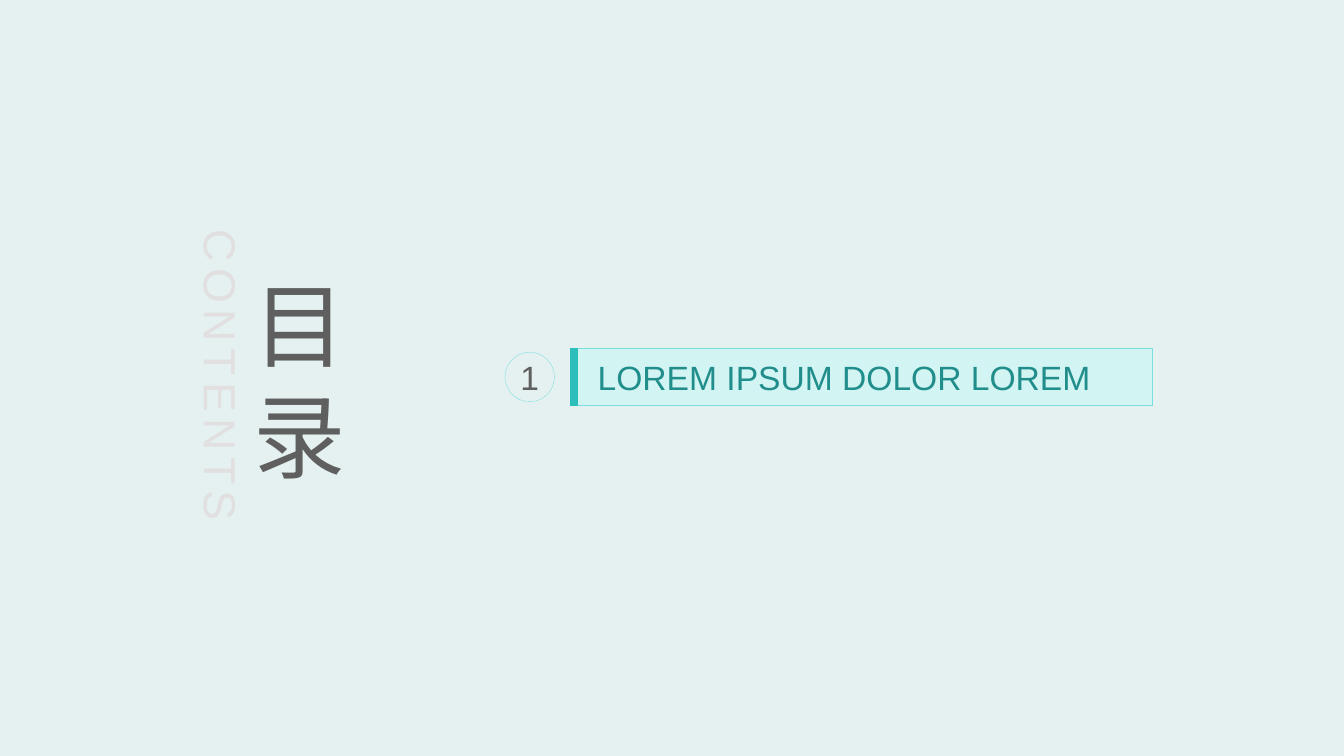
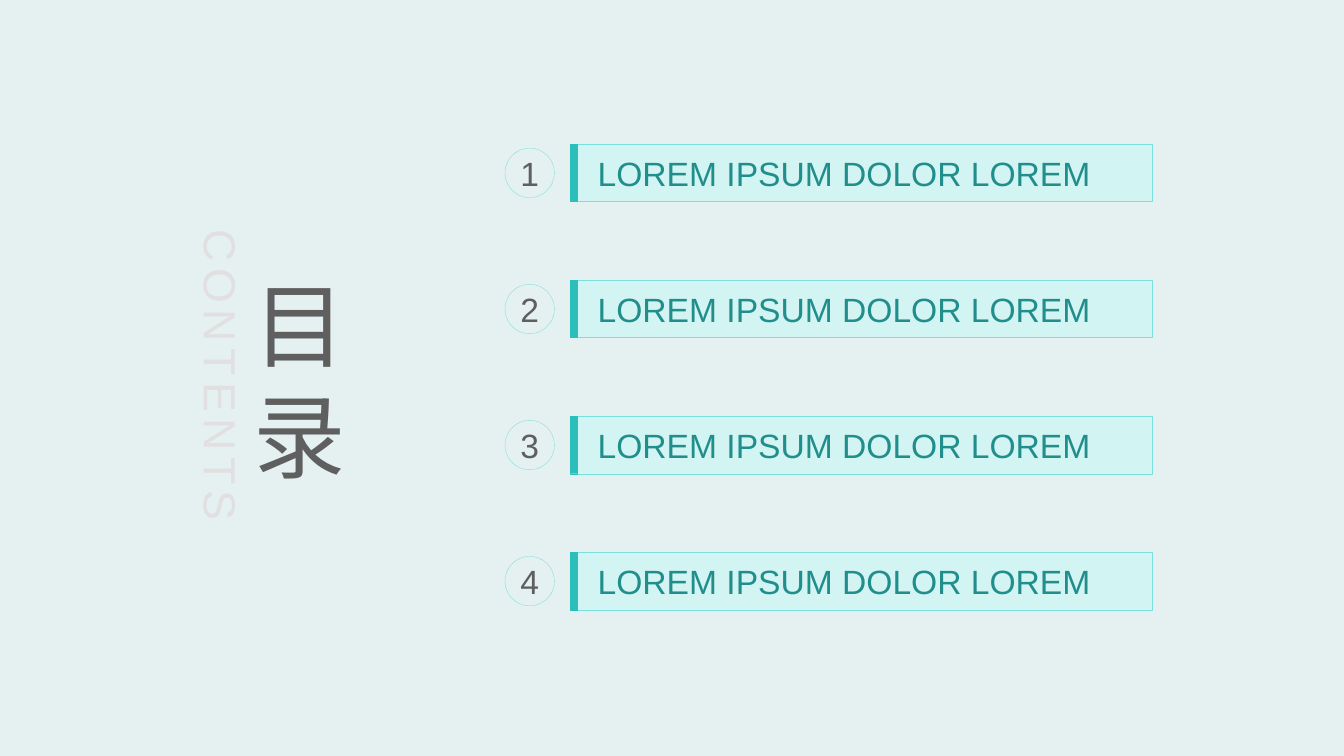
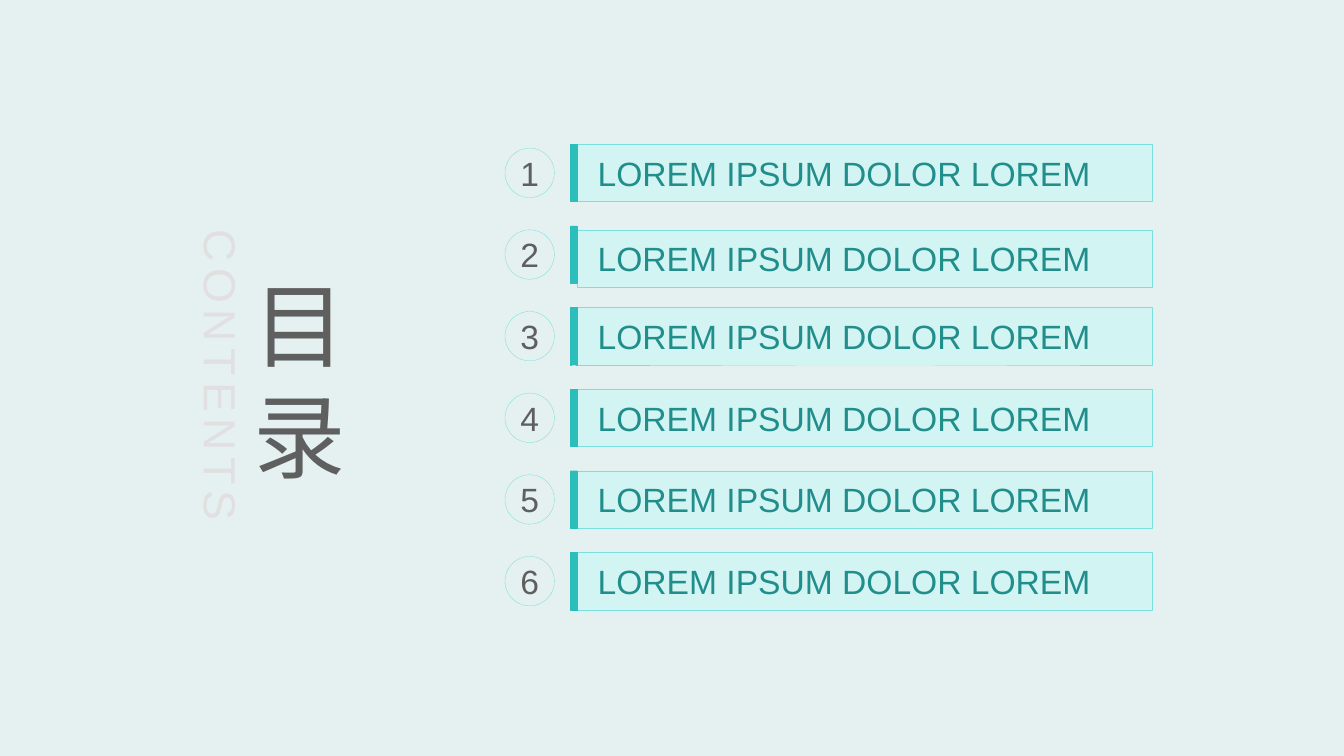
from dataclasses import dataclass

from pptx import Presentation
from pptx.dml.color import RGBColor
from pptx.enum.shapes import MSO_SHAPE as Kind
from pptx.enum.text import MSO_ANCHOR as Anchor, MSO_AUTO_SIZE as Fit, PP_ALIGN as Align
from pptx.util import Emu, Inches, Pt

# Shared style
HEX = {
    "back": "E5F1F1",
    "panel": "D2F5F4",
    "edge": "79E0DE",
    "bar": "2CBEBB",
    "label": "218E8C",
    "dark": "5F5F5F",
    "pale": "E1DFE0",
}
FONT = "Arial"
LABEL = "LOREM IPSUM DOLOR LOREM"

# Grid of 160 columns by 90 rows
CELL = Inches(1 / 12)
FIRST, LAST = 17.16, 65.76
HIGH = 6.84


@dataclass(frozen=True)
class Box:
    x: float
    y: float
    w: float
    h: float

    def emu(self) -> list[Emu]:
        return [Emu(round(n * CELL)) for n in (self.x, self.y, self.w, self.h)]


@dataclass(frozen=True)
class Item:
    num: int
    top: float
    drop: float = 0  # rows the panel sits below its bar


@dataclass(frozen=True)
class Page:
    count: int
    group: bool = True
    low: int = 0  # number of the item with a lowered panel


PAGES = [Page(1), Page(4), Page(6, group=False, low=2)]
TITLE = Box(26.28, 31.8, 18.84, 26.64)
SIDE = Box(23.4, 27.36, 6, 35.4)


def color(name: str) -> RGBColor:
    return RGBColor.from_string(HEX[name])


def write(shape, text: str, size: int, tint: str, align=Align.LEFT, inset: float = 0) -> None:
    frame = shape.text_frame
    frame.text = text
    frame.auto_size = Fit.NONE
    frame.vertical_anchor = Anchor.MIDDLE
    frame.margin_left = Inches(inset)
    frame.margin_top = frame.margin_right = frame.margin_bottom = 0
    for para in frame.paragraphs:
        para.alignment = align
        para.font.name = FONT
        para.font.size = Pt(size)
        para.font.color.rgb = color(tint)


def draw(host, kind: Kind, box: Box, edge: str, fill: str = ""):
    shape = host.add_shape(kind, *box.emu())
    shape.shadow.inherit = False
    if fill:
        shape.fill.solid()
        shape.fill.fore_color.rgb = color(fill)
    else:
        shape.fill.background()
    shape.line.color.rgb = color(edge)
    shape.line.width = Pt(0.25)
    return shape


def entry(host, item: Item) -> None:
    """Panel, number ring and accent bar of one contents line."""
    panel = draw(host, Kind.RECTANGLE, Box(68.76, item.top + item.drop, 68.4, HIGH), "edge", "panel")
    write(panel, LABEL, 24, "label", inset=0.2)
    size = 5.88
    ring = draw(host, Kind.OVAL, Box(60.12, item.top + (HIGH - size) / 2, size, size), "edge")
    write(ring, str(item.num), 24, "dark", Align.CENTER)
    ring.text_frame.word_wrap = False
    draw(host, Kind.RECTANGLE, Box(67.92, item.top, 0.84, HIGH), "bar", "bar")


def heading(slide) -> None:
    # Title in the placeholder
    title = slide.shapes.title
    title.left, title.top, title.width, title.height = TITLE.emu()
    write(title, "目\n录", 66, "dark", Align.CENTER)
    # Vertical side word
    side = slide.shapes.add_textbox(*SIDE.emu())
    write(side, "CONTENTS", 32, "pale")
    side.text_frame.word_wrap = True
    side.text_frame._txBody.bodyPr.set("vert", "vert")
    run = side.text_frame.paragraphs[0].runs[0]
    run._r.get_or_add_rPr().set("spc", "450")


def items(page: Page) -> list[Item]:
    """Spread the lines evenly; a single line goes in the middle."""
    if page.count == 1:
        return [Item(1, (FIRST + LAST) / 2)]
    step = (LAST - FIRST) / (page.count - 1)
    return [
        Item(i + 1, FIRST + i * step, 0.48 if i + 1 == page.low else 0)
        for i in range(page.count)
    ]


def main() -> None:
    prs = Presentation()
    prs.slide_width, prs.slide_height = 160 * CELL, 90 * CELL
    back = prs.slide_master.background.fill
    back.solid()
    back.fore_color.rgb = color("back")
    for page in PAGES:
        slide = prs.slides.add_slide(prs.slide_layouts[5])
        heading(slide)
        for item in items(page):
            host = slide.shapes.add_group_shape().shapes if page.group else slide.shapes
            entry(host, item)
    prs.save("out.pptx")


if __name__ == "__main__":
    main()
